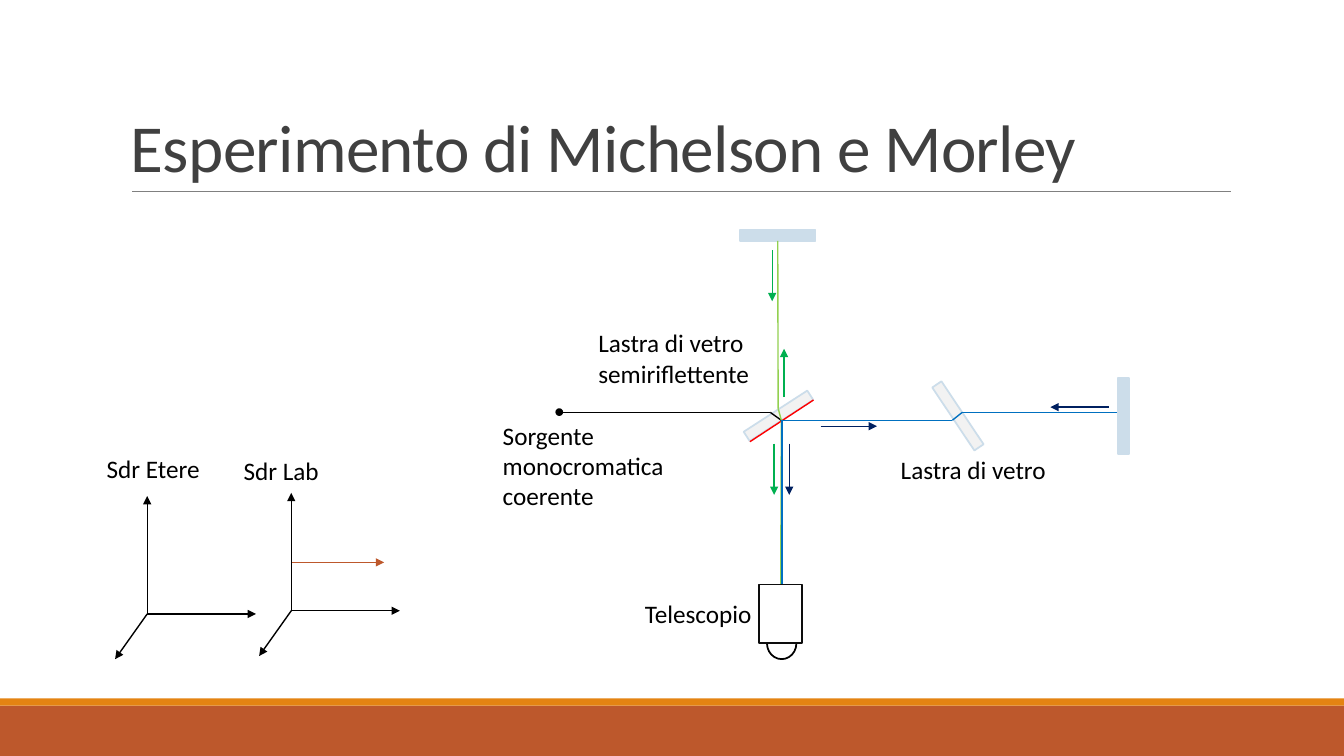
from dataclasses import dataclass
from itertools import pairwise
from lxml.etree import SubElement
from pptx import Presentation
from pptx.dml.color import RGBColor
from pptx.enum.shapes import MSO_CONNECTOR, MSO_SHAPE
from pptx.enum.text import MSO_ANCHOR, MSO_AUTO_SIZE
from pptx.oxml.ns import qn
from pptx.util import Cm, Pt


@dataclass(frozen=True)
class Theme:
    """Colours, font and sizes of the slide."""
    font: str = "Calibri"
    head: int = 48
    body: int = 18
    thin: float = 0.5
    ray: float = 1
    edge: float = 1.25
    rust: str = "BD582C"
    amber: str = "E48312"
    rule: str = "808080"
    title: str = "404040"
    ink: str = "000000"
    soft: str = "0D0D0D"
    white: str = "FFFFFF"
    mirror: str = "CCDDEA"
    glass: str = "F2F2F2"
    red: str = "FF0000"
    blue: str = "0070C0"
    navy: str = "002060"
    lime: str = "92D050"
    green: str = "00B050"


class Board:
    """Draws styled elements on one slide, in centimetres."""

    def __init__(self, slide, theme):
        """Keep the slide and the theme."""
        self.shapes = slide.shapes
        self.theme = theme

    def shape(self, box, fill, edge=None, kind=MSO_SHAPE.RECTANGLE, turn=0):
        """Add a filled shape, with an outline if a colour is given."""
        item = self.shapes.add_shape(kind, *map(Cm, box))
        item.shadow.inherit = False
        item.rotation = turn
        item.fill.solid()
        item.fill.fore_color.rgb = RGBColor.from_string(fill)
        if edge:
            item.line.color.rgb = RGBColor.from_string(edge)
            item.line.width = Pt(self.theme.edge)
        else:
            item.line.fill.background()
        return item

    def plate(self, x, y, fill, turn=0):
        """Add a mirror or glass plate around its centre."""
        wide, high = 1.91, 0.28
        box = (x - wide / 2, y - high / 2, wide, high)
        return self.shape(box, fill, self.theme.mirror, turn=turn)

    def line(self, start, end, color, width=None, arrow=False):
        """Add a straight line, with an arrowhead at its end if asked."""
        item = self.shapes.add_connector(
            MSO_CONNECTOR.STRAIGHT, *map(Cm, (*start, *end)))
        item.line.color.rgb = RGBColor.from_string(color)
        item.line.width = Pt(width or self.theme.ray)
        if arrow:
            SubElement(item.line._get_or_add_ln(), qn("a:tailEnd"), type="triangle")
        SubElement(item._element.spPr, qn("a:effectLst"))
        return item

    def beam(self, color, *points):
        """Add a ray that runs through the given points."""
        for start, end in pairwise(points):
            self.line(start, end, color)

    def arrow(self, start, dx, dy, color):
        """Add an arrow by its start and its reach."""
        x, y = start
        return self.line(start, (x + dx, y + dy), color, arrow=True)

    def axes(self, x, y):
        """Add the three axes of a reference frame."""
        for dx, dy in ((0, -2.97), (2.74, 0), (-0.81, 1.14)):
            self.arrow((x, y), dx, dy, self.theme.ink)

    def text(self, words, box, size, color):
        """Add a wrapped text box."""
        item = self.shapes.add_textbox(*map(Cm, box))
        frame = item.text_frame
        frame.word_wrap = True
        frame.text = words
        for para in frame.paragraphs:
            for run in para.runs:
                run.font.name = self.theme.font
                run.font.size = Pt(size)
                run.font.color.rgb = RGBColor.from_string(color)
        return frame

    def label(self, words, x, y, wide, high=1.02):
        """Add a body label that grows with its text."""
        frame = self.text(words, (x, y, wide, high), self.theme.body, self.theme.ink)
        frame.auto_size = MSO_AUTO_SIZE.SHAPE_TO_FIT_TEXT

    def title(self, words, box):
        """Add the slide title, set at the foot of its box."""
        frame = self.text(words, box, self.theme.head, self.theme.title)
        frame.vertical_anchor = MSO_ANCHOR.BOTTOM
        para = frame.paragraphs[0]
        para.line_spacing = 0.85
        para.runs[0]._r.get_or_add_rPr().set("spc", "-50")


def setting(board):
    """Draw the footer bands, the rule and the title."""
    look = board.theme
    board.shape((0, 17.78, 33.87, 1.27), look.rust)
    board.shape((0, 17.6, 33.87, 0.18), look.amber)
    board.line((3.33, 4.83), (31.01, 4.83), look.rule, look.thin)
    board.title("Esperimento di Michelson e Morley", (3.05, 0.79, 27.94, 4.04))


def optics(board):
    """Draw the plates, the rays and the telescope."""
    look = board.theme
    level = 10.48
    high, low = 10.39, 10.59
    split = (19.69, low)
    bend = (19.61, 10.29)
    top = board.plate(19.6, 5.93, look.mirror)
    board.plate(19.62, level, look.glass, 327.1)
    board.plate(24.14, level, look.glass, 56.2)
    board.plate(28.31, level, look.mirror, 90)
    board.line((20.5, 10.08), (18.9, 11.13), look.red)
    board.beam(look.ink, (14.17, high), (19.41, high), split)
    board.beam(look.blue, split, (24, low), (24.25, high), (28.14, high))
    board.beam(look.lime, split, bend)
    rise = board.line((19.6, 6.07), bend, look.lime)
    rise.begin_connect(top, 2)
    board.shape((19.33, 15.82, 0.74, 0.79), look.white, look.ink, MSO_SHAPE.OVAL)
    drop = board.line((19.69, 10.62), (19.69, 14.73), look.lime)
    board.line((19.71, 14.73), (19.71, low), look.blue)
    scope = board.shape((19.13, 14.73, 1.09, 1.47), look.white, look.soft)
    drop.end_connect(scope, 0)
    board.shape((14.02, 10.31, 0.15, 0.15), look.ink, look.ink, MSO_SHAPE.OVAL)


def arrows(board):
    """Draw the arrows that show which way the light runs."""
    look = board.theme
    for start, dx, dy, color in (
        ((20.68, 10.74), 1.42, 0, look.navy),
        ((27.94, 10.26), -1.47, 0, look.navy),
        ((19.89, 11.18), 0, 1.29, look.navy),
        ((19.51, 11.18), 0, 1.29, look.green),
        ((19.76, 10.01), 0, -1.22, look.green),
        ((19.46, 6.3), 0, 1.29, look.green),
    ):
        board.arrow(start, dx, dy, color)


def labels(board):
    """Name the parts of the set-up."""
    board.label("Sorgente monocromatica coerente", 12.42, 10.46, 5, 2.57)
    board.label("Telescopio", 16, 14.96, 7.77)
    board.label("Lastra di vetro", 22.45, 11.33, 4.6)
    board.label("Lastra di vetro\nsemiriflettente", 14.83, 8.13, 4.6, 1.8)


def frames(board):
    """Draw the two reference frames and the drift arrow."""
    board.axes(7.34, 15.39)
    board.label("Sdr Lab", 5.89, 11.35, 3.23)
    board.arrow((7.37, 14.17), 2.31, 0, board.theme.rust)
    board.axes(3.71, 15.47)
    board.label("Sdr Etere", 2.44, 11.3, 3.23)


def main():
    """Build and save the slide."""
    deck = Presentation()
    deck.slide_width, deck.slide_height = Cm(33.87), Cm(19.05)
    board = Board(deck.slides.add_slide(deck.slide_layouts[6]), Theme())
    for draw in (setting, optics, arrows, labels, frames):
        draw(board)
    deck.save("out.pptx")


if __name__ == "__main__":
    main()
